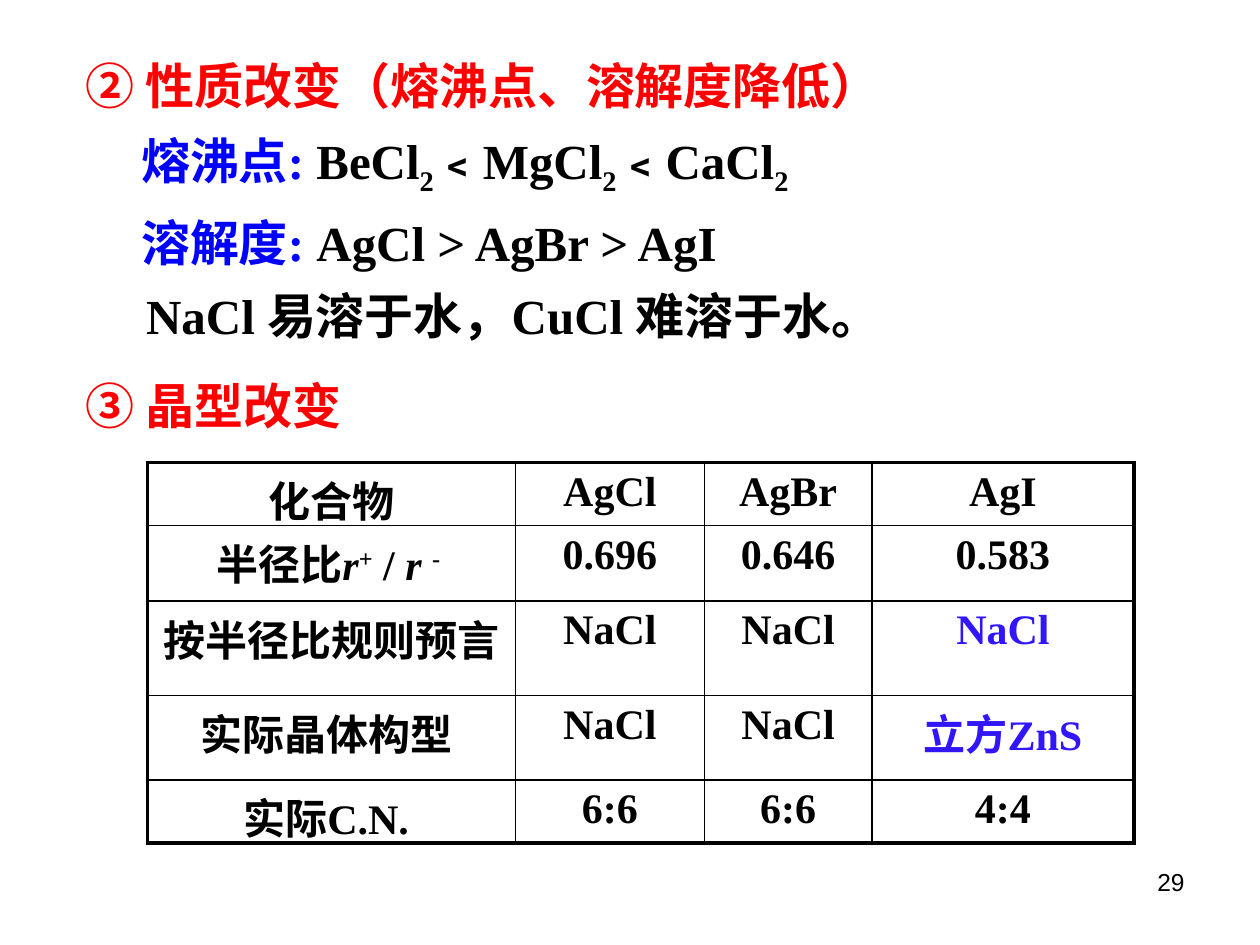
from dataclasses import dataclass
from typing import NamedTuple, Optional

from lxml import etree
from pptx import Presentation
from pptx.dml.color import RGBColor
from pptx.enum.text import MSO_ANCHOR, MSO_AUTO_SIZE, PP_ALIGN
from pptx.oxml.ns import qn
from pptx.util import Inches, Pt

TOP = MSO_ANCHOR.TOP
GROW = MSO_AUTO_SIZE.SHAPE_TO_FIT_TEXT
LEFT, CENTER, RIGHT = PP_ALIGN.LEFT, PP_ALIGN.CENTER, PP_ALIGN.RIGHT
TITLE_AND_CONTENT = 1


@dataclass(frozen=True)
class Theme:
    serif: str = "Times New Roman"
    sans: str = "Arial"
    ink: str = "000000"
    heading: str = "FF0000"
    label: str = "0000FF"
    highlight: str = "3116FC"
    text_size: int = 28
    table_size: int = 24
    number_size: int = 14
    outer_line: float = 2.25
    inner_line: float = 1


THEME = Theme()


class Span(NamedTuple):
    text: str
    color: Optional[str] = None
    baseline: int = 0
    italic: bool = False


SUB_TWO = Span("2", baseline=-25)

# Each line: left indent in inches, paragraph colour, spans
PROPERTY_LINES = [
    (0, THEME.heading, [Span("② 性质改变（熔沸点、溶解度降低）")]),
    (0.44, THEME.ink, [
        Span("熔沸点:", THEME.label), Span(" BeCl"), SUB_TWO,
        Span("﹤MgCl"), SUB_TWO, Span("﹤CaCl"), SUB_TWO]),
    (0.44, THEME.ink, [
        Span("溶解度: ", THEME.label), Span("AgCl > AgBr > AgI")]),
    (0.48, THEME.ink, [Span("NaCl 易溶于水，CuCl 难溶于水。")]),
]

RADIUS_RATIO = [
    Span("半径比"), Span("r", italic=True), Span("+", baseline=30),
    Span(" / "), Span("r ", italic=True), Span("- ", baseline=30),
]
CRYSTAL_ROWS = [
    ["化合物", "AgCl", "AgBr", "AgI"],
    [RADIUS_RATIO, "0.696", "0.646", "0.583"],
    ["按半径比规则预言 ", "NaCl", "NaCl", [Span("NaCl", THEME.highlight)]],
    ["实际晶体构型 ", "NaCl", "NaCl", [Span("立方ZnS", THEME.highlight)]],
    ["实际C.N. ", "6:6", "6:6", "4:4"],
]
COLUMN_WIDTHS = [2.92, 1.5, 1.33, 2.08]
ROW_HEIGHTS = [0.5, 0.6, 0.75, 0.67, 0.5]


def write_para(para, spans, size, color=THEME.ink, align=LEFT,
               font=THEME.serif, bold=True):
    if isinstance(spans, str):
        spans = [Span(spans)]
    para.alignment = align
    para.space_before = Pt(0)
    para.font.name = font
    para.font.size = Pt(size)
    para.font.bold = bold
    para.font.color.rgb = RGBColor.from_string(color)
    for span in spans:
        run = para.add_run()
        run.text = span.text
        if span.color:
            run.font.color.rgb = RGBColor.from_string(span.color)
        if span.italic:
            run.font.italic = True
        if span.baseline:
            run.font._element.set("baseline", str(span.baseline * 1000))


def remove_bullet(para, indent):
    properties = para._p.get_or_add_pPr()
    properties.set("marL", str(Inches(indent)))
    properties.set("indent", "0")
    etree.SubElement(properties, qn("a:buNone"))


def fill_body(body):
    body.left, body.top = Inches(0.58), Inches(0.27)
    body.width, body.height = Inches(8), Inches(2.4)
    frame = body.text_frame
    frame.word_wrap = True
    frame.auto_size = GROW
    frame.vertical_anchor = TOP
    for index, (indent, color, spans) in enumerate(PROPERTY_LINES):
        para = frame.add_paragraph() if index else frame.paragraphs[0]
        remove_bullet(para, indent)
        para.line_spacing = 1.25
        write_para(para, spans, THEME.text_size, color)


def add_text(page, left, top, width, height, text, size, **style):
    box = page.shapes.add_textbox(
        Inches(left), Inches(top), Inches(width), Inches(height))
    box.text_frame.word_wrap = True
    write_para(box.text_frame.paragraphs[0], text, size, **style)


def set_borders(cell, outer_sides):
    """Draw all four sides, thicker where the side is on the table's edge."""
    properties = cell._tc.get_or_add_tcPr()
    for position, side in enumerate("LRTB"):
        weight = THEME.outer_line if side in outer_sides else THEME.inner_line
        line = etree.Element(qn(f"a:ln{side}"), w=str(Pt(weight)))
        fill = etree.SubElement(line, qn("a:solidFill"))
        etree.SubElement(fill, qn("a:srgbClr"), val=THEME.ink)
        properties.insert(position, line)


def add_crystal_table(page):
    row_count, column_count = len(ROW_HEIGHTS), len(COLUMN_WIDTHS)
    table = page.shapes.add_table(
        row_count, column_count, Inches(1.17), Inches(3.67),
        Inches(sum(COLUMN_WIDTHS)), Inches(sum(ROW_HEIGHTS))).table
    table.first_row = table.horz_banding = False
    for column, width in zip(table.columns, COLUMN_WIDTHS):
        column.width = Inches(width)
    for row, height in zip(table.rows, ROW_HEIGHTS):
        row.height = Inches(height)
    for r, contents in enumerate(CRYSTAL_ROWS):
        for c, spans in enumerate(contents):
            cell = table.cell(r, c)
            cell.fill.background()
            cell.vertical_anchor = TOP
            cell.margin_bottom = 0
            write_para(cell.text_frame.paragraphs[0], spans,
                       THEME.table_size, align=CENTER)
            edges = {"L": c == 0, "R": c == column_count - 1,
                     "T": r == 0, "B": r == row_count - 1}
            set_borders(cell, [side for side, outer in edges.items() if outer])


def main():
    deck = Presentation()
    deck.slide_width, deck.slide_height = Inches(10), Inches(7.5)
    page = deck.slides.add_slide(deck.slide_layouts[TITLE_AND_CONTENT])
    title = page.shapes.title
    title._element.getparent().remove(title._element)
    fill_body(page.placeholders[1])
    add_text(page, 0.58, 2.93, 4.25, 0.57, "③ 晶型改变",
             THEME.text_size, color=THEME.heading)
    add_crystal_table(page)
    add_text(page, 7.17, 6.83, 2.33, 0.52, "29", THEME.number_size,
             align=RIGHT, font=THEME.sans, bold=False)
    deck.save("out.pptx")


if __name__ == "__main__":
    main()
